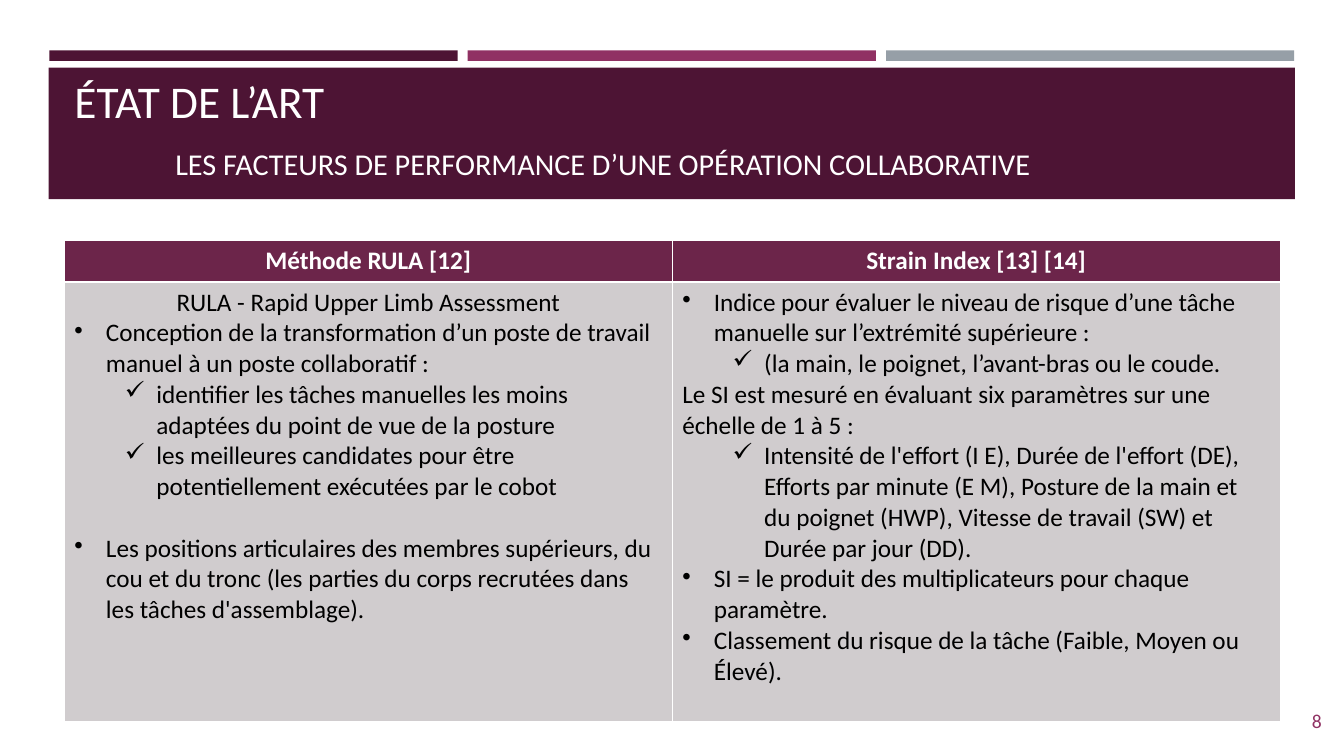
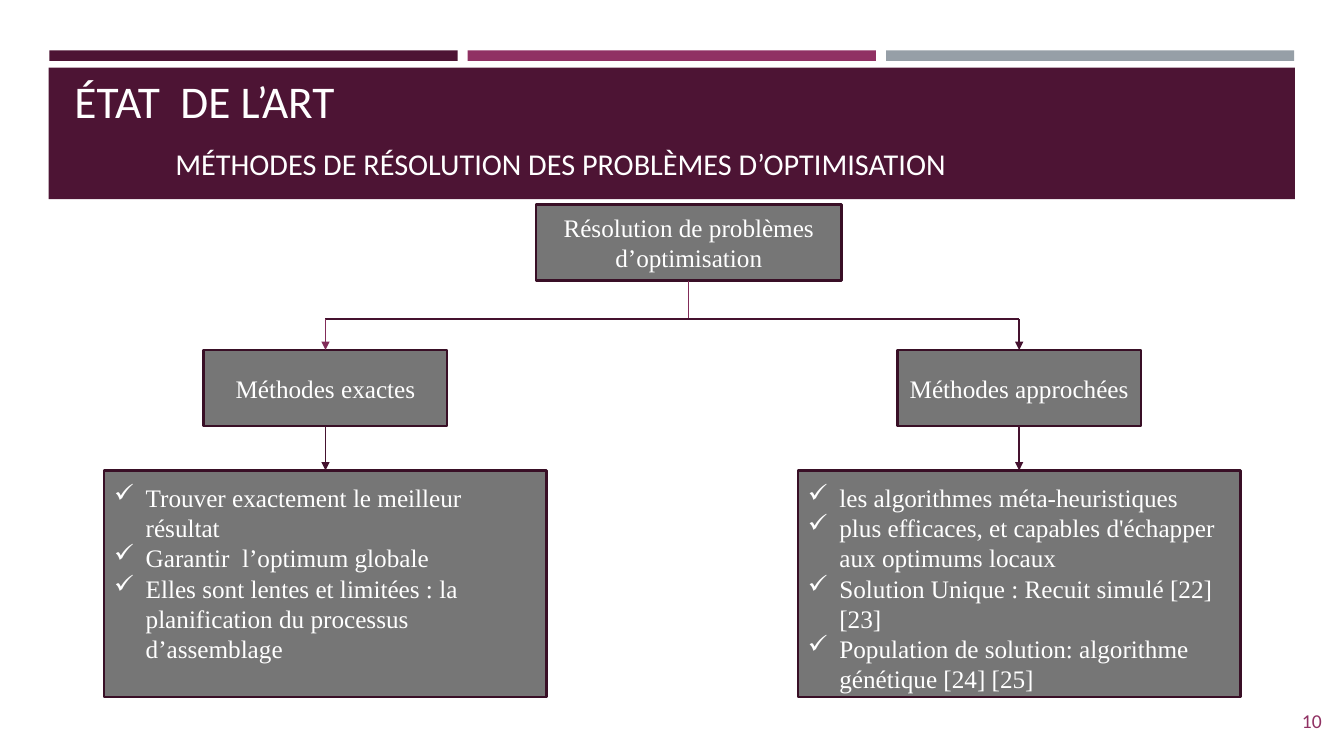
from lxml import etree
from pptx import Presentation
from pptx.dml.color import RGBColor
from pptx.enum.shapes import MSO_CONNECTOR, MSO_SHAPE
from pptx.enum.text import MSO_ANCHOR, MSO_AUTO_SIZE, PP_ALIGN
from pptx.oxml.ns import qn
from pptx.util import Pt

LEFT, MID, RIGHT = PP_ALIGN.LEFT, PP_ALIGN.CENTER, PP_ALIGN.RIGHT
TOP, CENTER, BASE = MSO_ANCHOR.TOP, MSO_ANCHOR.MIDDLE, MSO_ANCHOR.BOTTOM
RECT, LINE = MSO_SHAPE.RECTANGLE, MSO_CONNECTOR.STRAIGHT
FIXED = MSO_AUTO_SIZE.NONE
SANS, SERIF = "Calibri", "Times New Roman"
DOT, TICK = "•", "✓"
INDENT = 22.5
STEP = 36
HUES = {
    "plum": "4D1434", "rose": "903163", "grey": "969FA7",
    "head": "6C254A", "body": "D0CCCE", "box": "767676",
    "edge": "390F26", "wine": "822C59", "dark": "45122F",
    "white": "FFFFFF", "black": "000000",
}

RULA = [
    ("RULA - Rapid Upper Limb Assessment", None, MID),
    ("Conception de la transformation d’un poste de travail manuel à un poste collaboratif :", DOT),
    ("identifier les tâches manuelles les moins adaptées du point de vue de la posture", TICK),
    ("les meilleures candidates pour être potentiellement exécutées par le cobot", TICK),
    ("Les positions articulaires des membres supérieurs, du cou et du tronc (les parties du corps "
     "recrutées dans les tâches d'assemblage).", DOT, LEFT, 22),
]
STRAIN = [
    ("Indice pour évaluer le niveau de risque d’une tâche manuelle sur l’extrémité supérieure :", DOT),
    ("(la main, le poignet, l’avant-bras ou le coude.", TICK),
    ("Le SI est mesuré en évaluant six paramètres sur une échelle de 1 à 5 :", None),
    ("Intensité de l'effort (I E), Durée de l'effort (DE), Efforts par minute (E M), Posture de la main "
     "et du poignet (HWP), Vitesse de travail (SW) et Durée par jour (DD).", TICK),
    ("SI = le produit des multiplicateurs pour chaque paramètre.", DOT),
    ("Classement du risque de la tâche (Faible, Moyen ou Élevé).", DOT),
]
EXACT = [
    "Trouver exactement le meilleur résultat",
    "Garantir  l’optimum globale",
    "Elles sont lentes et limitées : la planification du processus d’assemblage",
]
APPROX = [
    "les algorithmes méta-heuristiques",
    "plus efficaces, et capables d'échapper aux optimums locaux",
    "Solution Unique : Recuit simulé [22] [23]",
    "Population de solution: algorithme génétique [24] [25]",
]


def hue(name):
    return RGBColor.from_string(HUES[name])


def style(para, size, color, font=SANS, align=LEFT, bold=False):
    para.alignment = align
    for run in para.runs:
        run.font.size = Pt(size)
        run.font.name = font
        run.font.bold = bold
        run.font.color.rgb = hue(color)


def bullet(para, mark, level=0):
    props = para._p.get_or_add_pPr()
    props.set("marL", str(Pt(INDENT + STEP * level)))
    props.set("indent", str(-Pt(INDENT)))
    etree.SubElement(props, qn("a:buChar")).set("char", mark)


def paras(frame, count):
    return [frame.paragraphs[0]] + [frame.add_paragraph() for _ in range(count - 1)]


def rect(slide, left, top, width, height, fill):
    shape = slide.shapes.add_shape(RECT, Pt(left), Pt(top), Pt(width), Pt(height))
    shape.shadow.inherit = False
    shape.fill.solid()
    shape.fill.fore_color.rgb = hue(fill)
    shape.line.fill.background()
    return shape


def box(slide, mid, top, width, height, lines, ticks=False):
    shape = rect(slide, mid - width / 2, top, width, height, "box")
    shape.line.color.rgb = hue("edge")
    shape.line.width = Pt(1.75)
    frame = shape.text_frame
    frame.word_wrap = True
    frame.vertical_anchor = TOP if ticks else CENTER
    if ticks:
        frame.margin_top = Pt(8.5)
    for para, line in zip(paras(frame, len(lines)), lines):
        para.text = line
        style(para, 18, "white", SERIF, LEFT if ticks else MID)
        if ticks:
            bullet(para, TICK)
    return shape


def link(slide, start, end, color, first=None, last=None, arrow=False):
    line = slide.shapes.add_connector(LINE, *map(Pt, start + end))
    if first is not None:
        line.begin_connect(first, 2)
    if last is not None:
        line.end_connect(last, 0)
    line.line.color.rgb = hue(color)
    line.line.width = Pt(1)
    if arrow:
        etree.SubElement(line.line._get_or_add_ln(), qn("a:tailEnd")).set("type", "triangle")
    etree.SubElement(line.element.spPr, qn("a:effectLst"))


def dress(layout, slide):
    for holder in list(layout.placeholders)[1:]:
        holder.element.getparent().remove(holder.element)
    bands = [rect(slide, 35.3 + 298.8 * i, 36, 291.6, 7.5, name)
             for i, name in enumerate(("plum", "rose", "grey"))]
    bands.append(rect(slide, 34.7, 48.4, 890.3, 93.9, "plum"))
    for band in bands:
        layout.shapes.element.insert(2, band.element)


def head(slide, title, topic, page):
    shape = slide.shapes.title
    shape.left, shape.top, shape.width, shape.height = map(Pt, (46, 55.4, 868.4, 80))
    frame = shape.text_frame
    frame.auto_size = FIXED
    frame.word_wrap = True
    frame.vertical_anchor = BASE
    frame.margin_bottom = Pt(6)
    name, sub = paras(frame, 2)
    name.text, sub.text = title, topic
    style(name, 32.4, "white")
    style(sub, 21.6, "white")
    sub.space_before = Pt(12)
    sub._p.get_or_add_pPr().set("marL", str(Pt(72)))

    note = slide.shapes.add_textbox(Pt(868.4), Pt(500.4), Pt(82.8), Pt(28.8)).text_frame
    note.word_wrap = True
    note.vertical_anchor = CENTER
    note.text = page
    style(note.paragraphs[0], 14, "rose", align=RIGHT)


def entry(para, text, mark, align=LEFT, gap=0):
    para.text = text
    style(para, 18, "black", align=align)
    para.space_before = Pt(gap)
    if mark:
        bullet(para, mark, int(mark == TICK))


def grid(slide, heads, bodies):
    table = slide.shapes.add_table(2, 2, Pt(46), Pt(172), Pt(868.4), Pt(343.5)).table
    table.horz_banding = False
    table.rows[0].height, table.rows[1].height = Pt(29.5), Pt(314)
    for i, (name, items) in enumerate(zip(heads, bodies)):
        top, body = table.cell(0, i), table.cell(1, i)
        for cell, fill in ((top, "head"), (body, "body")):
            cell.fill.solid()
            cell.fill.fore_color.rgb = hue(fill)
        top.text_frame.text = name
        style(top.text_frame.paragraphs[0], 18, "white", align=MID, bold=True)
        for para, item in zip(paras(body.text_frame, len(items)), items):
            entry(para, *item)


def tree(slide):
    mid, bus = 492, 228
    root = box(slide, mid, 146, 218, 54.5, ["Résolution de problèmes d’optimisation"])
    link(slide, (mid, 200.5), (mid, bus), "wine", first=root)
    sides = ((232.5, "Méthodes exactes", EXACT, "wine"),
             (728, "Méthodes approchées", APPROX, "dark"))
    link(slide, (sides[1][0], bus), (sides[0][0], bus), "dark")
    for x, name, lines, color in sides:
        kind = box(slide, x, 250, 174, 54.5, [name])
        list_box = box(slide, x, 336, 316, 162, lines, ticks=True)
        link(slide, (x, bus), (x, 250), color, last=kind, arrow=True)
        link(slide, (x, 304.5), (x, 336), "dark", kind, list_box, True)


def main():
    deck = Presentation()
    deck.slide_width, deck.slide_height = Pt(960), Pt(540)
    layout = deck.slide_layouts[5]
    first, second = [deck.slides.add_slide(layout) for _ in range(2)]
    dress(layout, first)
    head(first, "ÉTAT DE L’ART", "LES FACTEURS DE PERFORMANCE D’UNE OPÉRATION COLLABORATIVE", "8")
    grid(first, ("Méthode RULA [12]", "Strain Index [13] [14]"), (RULA, STRAIN))
    head(second, "ÉTAT  DE L’ART", "MÉTHODES DE RÉSOLUTION DES PROBLÈMES D’OPTIMISATION", "10")
    tree(second)
    deck.save("out.pptx")


if __name__ == "__main__":
    main()
